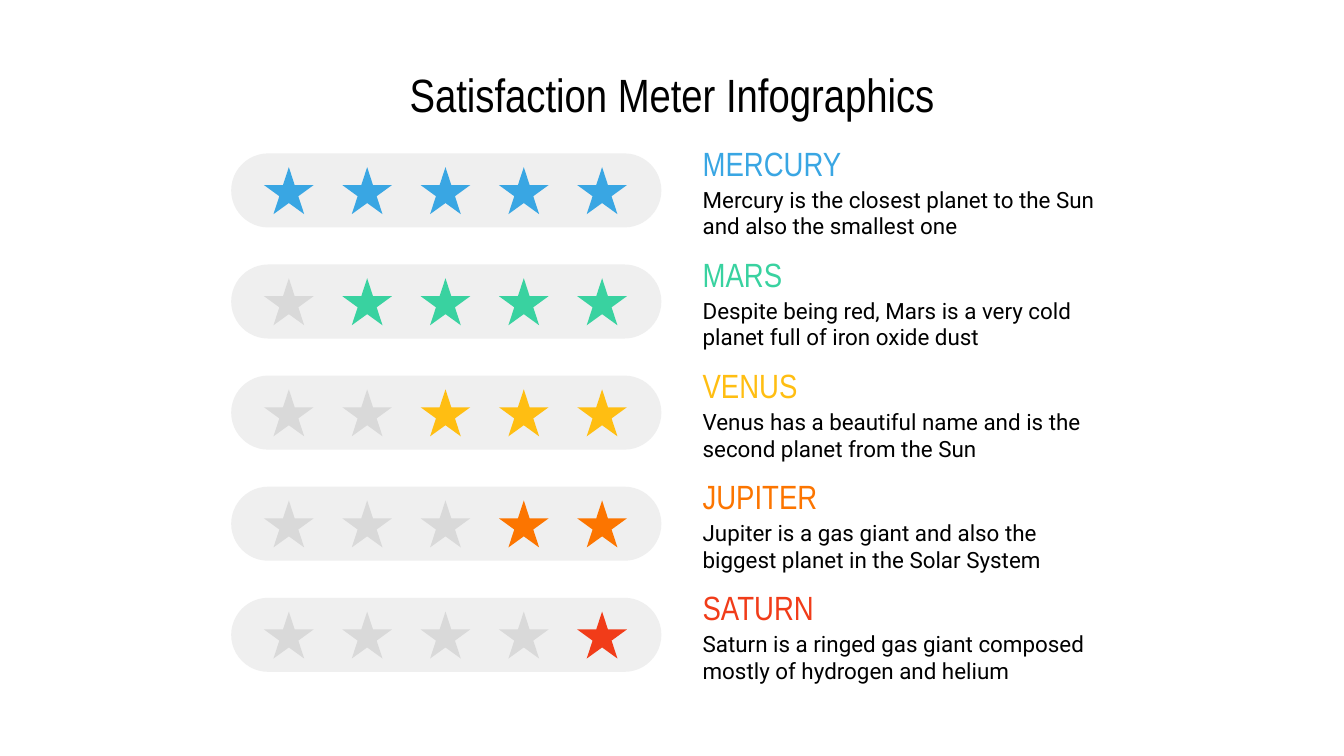
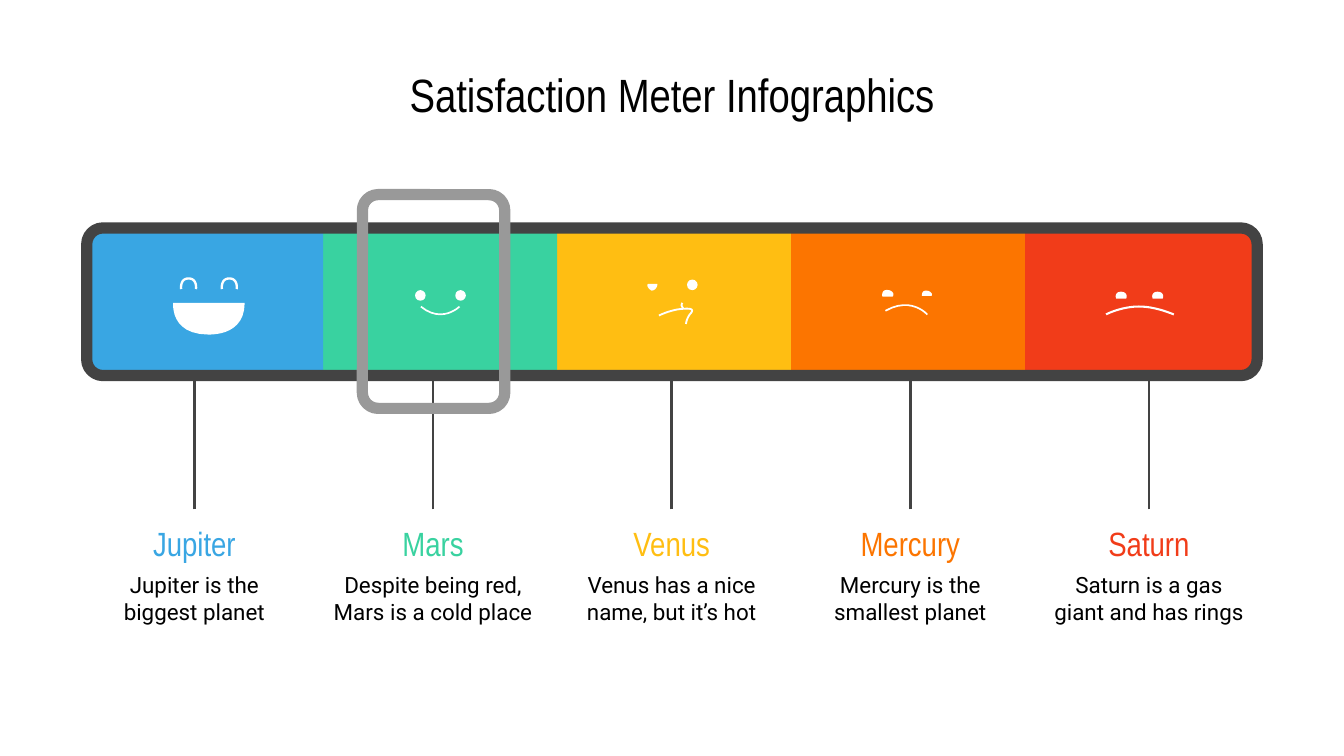
from lxml import etree
from pptx import Presentation
from pptx import util as u
from pptx.dml.color import RGBColor
from pptx.enum import shapes as sh, text as t
from pptx.oxml.ns import qn

Cm, Pt = u.Cm, u.Pt

BLACK = RGBColor(0x00, 0x00, 0x00)
WHITE = RGBColor(0xFF, 0xFF, 0xFF)
PILL = RGBColor(0xEF, 0xEF, 0xEF)
UNLIT = RGBColor(0xD9, 0xD9, 0xD9)
DARK = RGBColor(0x43, 0x43, 0x43)
GREY = RGBColor(0x99, 0x99, 0x99)
BLUE = RGBColor(0x39, 0xA6, 0xE3)
GREEN = RGBColor(0x39, 0xD2, 0xA0)
YELLOW = RGBColor(0xFF, 0xBE, 0x12)
ORANGE = RGBColor(0xFC, 0x75, 0x00)
RED = RGBColor(0xF1, 0x3C, 0x19)
SCALE = (BLUE, GREEN, YELLOW, ORANGE, RED)

HEAD_FONT, BODY_FONT = "Arial Narrow", "Roboto"
TITLE = "Satisfaction Meter Infographics"

RATINGS = [
    ("MERCURY", "Mercury is the closest planet to the Sun and also the smallest one"),
    ("MARS", "Despite being red, Mars is a very cold planet full of iron oxide dust"),
    ("VENUS", "Venus has a beautiful name and is the second planet from the Sun"),
    ("JUPITER", "Jupiter is a gas giant and also the biggest planet in the Solar System"),
    ("SATURN", "Saturn is a ringed gas giant composed mostly of hydrogen and helium"),
]
CALLOUTS = [
    ("Jupiter", "Jupiter is the biggest planet"),
    ("Mars", "Despite being red, Mars is a cold place"),
    ("Venus", "Venus has a nice name, but it’s hot"),
    ("Mercury", "Mercury is the smallest planet"),
    ("Saturn", "Saturn is a gas giant and has rings"),
]

# Curves in cm: a start point, then three Bézier points per section
ARCH_EYE = [(-.14, .2), (-.14, .2), (-.17, 0), (0, 0), (.17, 0), (.14, .2), (.14, .2)]
LOW_EYE = [(0, .1), (0, .03), (.02, 0), (.08, 0), (.15, 0), (.21, .05), (.18, .1)]
TALL_EYE = [(.01, .13), (-.02, .05), (.03, 0), (.1, 0), (.18, 0), (.23, .05), (.2, .13)]
DROOP_EYE = [(0, 0), (-.03, .05), (.02, .1), (.07, .13), (.12, .13), (.18, .08), (.18, 0)]
LAUGH = [(.75, 0), (.75, .58), (.21, .6), (.07, .6), (-.67, .6), (-.6, 0), (-.6, 0)]
SMILE = [(.39, 0), (.39, 0), (.06, .33), (-.34, 0)]
SMIRK = [(-.26, .26), (-.09, .18), (.09, .13), (.27, .13), (.4, .13), (.37, .18),
         (.34, .22), (.3, .26), (.26, .34), (.25, .42)]
DIMPLE = [(.18, .02), (.16, .07), (.16, .07), (.2, .13)]
FROWN = [(.39, .24), (.39, .24), (.09, -.11), (-.4, .17)]
SAD = [(-.65, .24), (-.64, .23), (-.35, .09), (-.03, .09), (.16, .09), (.39, .14), (.63, .24)]
DOT = None

# Per face: curve, x and y from the segment centre, filled, line weight
FACES = [
    [(LAUGH, 0, .02, True, 0), (ARCH_EYE, .46, -.44, False, 1.25),
     (ARCH_EYE, -.31, -.44, False, 1.25)],
    [(DOT, -.35, -.12, True, 0), (DOT, .41, -.12, True, 0), (SMILE, 0, .09, False, .9)],
    [(DOT, .37, -.32, True, 0), (DROOP_EYE, -.47, -.34, True, 0),
     (SMIRK, 0, 0, False, 1), (DIMPLE, 0, 0, False, 1)],
    [(LOW_EYE, .29, -.21, True, 0), (LOW_EYE, -.45, -.21, True, .75),
     (FROWN, 0, 0, False, .9)],
    [(TALL_EYE, .22, -.19, True, 0), (TALL_EYE, -.47, -.19, True, 0),
     (SAD, 0, 0, False, 1.1)],
]


def paint(shape, fill=None, line=None, weight=0):
    shape.shadow.inherit = False
    if fill is None:
        shape.fill.background()
    else:
        shape.fill.solid()
        shape.fill.fore_color.rgb = fill
    if weight:
        shape.line.color.rgb = line
        shape.line.width = Pt(weight)
    else:
        shape.line.fill.background()


def add_preset(shapes, kind, x, y, w, h, **style):
    shape = shapes.add_shape(kind, Cm(x), Cm(y), Cm(w), Cm(h))
    paint(shape, **style)
    return shape


def write(tf, words, size, font, color, align, anchor):
    tf.word_wrap = True
    tf.auto_size = t.MSO_AUTO_SIZE.NONE
    tf.vertical_anchor = anchor
    tf.margin_left = tf.margin_right = tf.margin_top = tf.margin_bottom = Cm(.25)
    p = tf.paragraphs[0]
    p.alignment = align
    r = p.add_run()
    r.text = words
    r.font.size = Pt(size)
    r.font.name = font
    r.font.color.rgb = color


def add_label(shapes, x, y, w, h, words, color, align, anchor=t.MSO_ANCHOR.TOP):
    tf = shapes.add_textbox(Cm(x), Cm(y), Cm(w), Cm(h)).text_frame
    write(tf, words, 18, HEAD_FONT, color, align, anchor)


def add_description(shapes, x, y, w, h, words, align):
    tf = shapes.add_textbox(Cm(x), Cm(y), Cm(w), Cm(h)).text_frame
    write(tf, words, 12, BODY_FONT, BLACK, align, t.MSO_ANCHOR.TOP)


def add_titled_slide(prs):
    s = prs.slides.add_slide(prs.slide_layouts[5])
    title = s.shapes.title
    title.left, title.top, title.width, title.height = Cm(1.27), Cm(1.14), Cm(22.86), Cm(1.27)
    write(title.text_frame, TITLE, 25, HEAD_FONT, BLACK, t.PP_ALIGN.CENTER, t.MSO_ANCHOR.MIDDLE)
    return s


def add_rating_row(shapes, x, y, unlit, color, name, words):
    """A pill of five stars, the first ones unlit, with its text on the right."""
    pill = add_preset(shapes, sh.MSO_SHAPE.ROUNDED_RECTANGLE, x, y, 8.13, 1.4, fill=PILL)
    pill.adjustments[0] = .5
    for i in range(5):
        add_preset(shapes, sh.MSO_SHAPE.STAR_5_POINT, x + .62 + 1.48 * i, y + .26, .94, .89,
                   fill=UNLIT if i < unlit else color)
    add_label(shapes, x + 8.66, y - .22, 8, .79, name, color,
              t.PP_ALIGN.LEFT, t.MSO_ANCHOR.MIDDLE)
    add_description(shapes, x + 8.66, y + .36, 8, 1.27, words, t.PP_ALIGN.LEFT)


def curve_points(path, steps=12):
    """Points along a chain of cubic Bézier sections."""
    points = [path[0]]
    for i in range(0, len(path) - 1, 3):
        section = path[i:i + 4]
        for k in range(1, steps + 1):
            b = k / steps
            a = 1 - b
            weights = (a ** 3, 3 * a * a * b, 3 * a * b * b, b ** 3)
            points.append(tuple(sum(w * pt[axis] for w, pt in zip(weights, section))
                                for axis in (0, 1)))
    return points


def add_face(shapes, cx, cy, features):
    for path, dx, dy, filled, weight in features:
        x, y = cx + dx, cy + dy
        if path is DOT:
            add_preset(shapes, sh.MSO_SHAPE.OVAL, x - .1, y - .1, .2, .2, fill=WHITE)
            continue
        points = [(Cm(x + px), Cm(y + py)) for px, py in curve_points(path)]
        builder = shapes.build_freeform(*points[0], scale=1.0)
        builder.add_line_segments(points[1:], close=filled)
        paint(builder.convert_to_shape(), fill=WHITE if filled else None,
              line=WHITE, weight=weight)


def add_segment(shapes, x, y, w, h, index):
    """One coloured part of the meter; the end parts have rounded outer corners."""
    turn = {0: 270, len(SCALE) - 1: 90}.get(index)
    if turn is None:
        add_preset(shapes, sh.MSO_SHAPE.RECTANGLE, x, y, w, h, fill=SCALE[index])
    else:
        end = add_preset(shapes, sh.MSO_SHAPE.ROUND_2_SAME_RECTANGLE,
                         x + (w - h) / 2, y + (h - w) / 2, h, w, fill=SCALE[index])
        end.rotation = turn
    add_face(shapes, x + w / 2, y + h / 2, FACES[index])


def add_frame(shapes, x, y, w, h, color):
    frame = add_preset(shapes, sh.MSO_SHAPE.ROUNDED_RECTANGLE, x, y, w, h, line=color, weight=6)
    frame.adjustments[0] = .11


def add_callout(shapes, x, y, w, color, name, words):
    """A line rising from the middle of the box top, with centred text below."""
    stem = shapes.add_connector(sh.MSO_CONNECTOR.STRAIGHT, Cm(x + w / 2), Cm(y),
                                Cm(x + w / 2), Cm(y - 2.54))
    stem.line.color.rgb = DARK
    stem.line.width = Pt(1.5)
    etree.SubElement(stem._element.spPr, qn("a:effectLst"))
    add_label(shapes, x, y, w, .91, name, color, t.PP_ALIGN.CENTER)
    add_description(shapes, x, y + .91, w, 1.4, words, t.PP_ALIGN.CENTER)


def star_slide(prs):
    s = add_titled_slide(prs)
    for i, (color, (name, words)) in enumerate(zip(SCALE, RATINGS)):
        row = s.shapes.add_group_shape().shapes
        add_rating_row(row, 4.37, 2.9 + 2.1 * i, i, color, name, words)


def meter_slide(prs):
    s = add_titled_slide(prs)
    for i in reversed(range(len(SCALE))):
        segment = s.shapes.add_group_shape().shapes
        add_segment(segment, 1.64 + 4.42 * i, 4.32, 4.47, 2.77, i)
    add_frame(s.shapes, 1.64, 4.31, 22.12, 2.79, DARK)
    for i, (color, (name, words)) in enumerate(zip(SCALE, CALLOUTS)):
        callout = s.shapes.add_group_shape().shapes
        add_callout(callout, 1.53 + 4.51 * i, 9.63, 4.29, color, name, words)
    add_frame(s.shapes, 6.85, 3.68, 2.69, 4.04, GREY)


def main():
    prs = Presentation()
    prs.slide_width, prs.slide_height = Cm(25.4), Cm(14.29)
    star_slide(prs)
    meter_slide(prs)
    prs.save("out.pptx")


if __name__ == "__main__":
    main()
